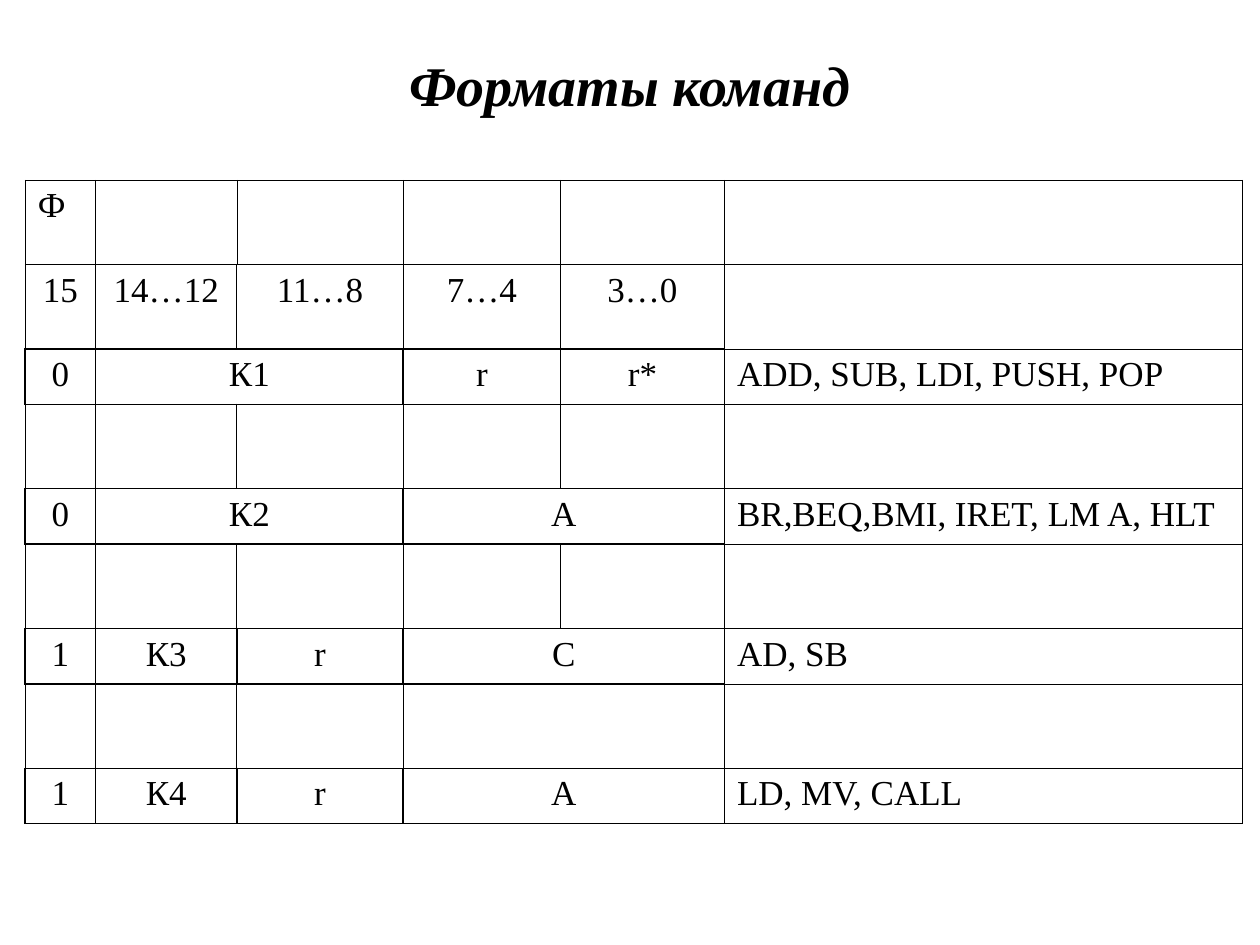
from dataclasses import dataclass

from pptx import Presentation
from pptx.dml.color import RGBColor
from pptx.enum.text import MSO_ANCHOR, PP_ALIGN
from pptx.oxml.ns import qn
from pptx.util import Inches, Pt
from lxml.etree import SubElement


@dataclass(frozen=True)
class Theme:
    font: str = "Times New Roman"
    ink: str = "000000"
    title_size: int = 32
    body_size: int = 20
    hairline: float = 0.34
    thin: float = 0.45
    regular: float = 0.96
    hanging: float = 0.38


MERGED = None  # the cell continues the one on its left
COLUMN_WIDTHS = [0.56, 1.12, 1.32, 1.25, 1.3, 4.11]
TALL_ROW, FIELD_ROW = 0.67, 0.44
FORMAT_ROWS = [
    ["Ф", "", "", "", "", ""],
    ["15", "14…12", "11…8", "7…4", "3…0", ""],
    ["0", "К1", MERGED, "r", "r*", "ADD, SUB, LDI, PUSH, POP"],
    ["", "", "", "", "", ""],
    ["0", "К2", MERGED, "A", MERGED, "BR,BEQ,BMI, IRET, LM A, HLT"],
    ["", "", "", "", "", ""],
    ["1", "К3", "r", "C", MERGED, "AD, SB"],
    ["", "", "", "", MERGED, ""],
    ["1", "К4", "r", "A", MERGED, "LD, MV, CALL"],
]


def is_field_row(row):
    return row >= 2 and row % 2 == 0


def write_text(text_frame, text, *, theme, size, align, bold=False,
               italic=False, hanging=0):
    paragraph = text_frame.paragraphs[0]
    if hanging:
        properties = paragraph._p.get_or_add_pPr()
        properties.set("marL", str(Inches(hanging)))
        properties.set("indent", str(-Inches(hanging)))
    paragraph.alignment = align
    run = paragraph.add_run()
    run.text = text
    run.font.name = theme.font
    run.font.size = Pt(size)
    run.font.bold = bold
    run.font.italic = italic
    run.font.color.rgb = RGBColor.from_string(theme.ink)


class SlideBuilder:
    def __init__(self, slide, theme):
        self.slide = slide
        self.theme = theme

    def add_title(self, text, left, top, width, height):
        shape = self.slide.shapes.add_textbox(
            Inches(left), Inches(top), Inches(width), Inches(height))
        text_frame = shape.text_frame
        text_frame.word_wrap = True
        text_frame.vertical_anchor = MSO_ANCHOR.MIDDLE
        write_text(text_frame, text, theme=self.theme,
                   size=self.theme.title_size, align=PP_ALIGN.CENTER,
                   bold=True, italic=True)

    def border_widths(self, row, column):
        """Widths of the left, right, top and bottom borders."""
        hairline, thin, regular = (
            self.theme.hairline, self.theme.thin, self.theme.regular)
        if column == len(COLUMN_WIDTHS) - 1:
            left = regular if is_field_row(row) else thin if row else hairline
            return left, hairline, hairline, hairline
        if row == 0:
            return hairline, hairline, hairline, thin
        if row == 1:
            return thin, thin, thin, regular
        side = regular if is_field_row(row) else thin
        return side, side, regular, regular

    def draw_borders(self, cell, widths):
        properties = cell._tc.get_or_add_tcPr()
        for tag, width in zip(("a:lnL", "a:lnR", "a:lnT", "a:lnB"), widths):
            line = SubElement(properties, qn(tag), w=str(Pt(width)))
            fill = SubElement(line, qn("a:solidFill"))
            SubElement(fill, qn("a:srgbClr"), val=self.theme.ink)

    def add_table(self, rows, left, top):
        heights = [FIELD_ROW if is_field_row(row) else TALL_ROW
                   for row in range(len(rows))]
        table = self.slide.shapes.add_table(
            len(rows), len(COLUMN_WIDTHS), Inches(left), Inches(top),
            Inches(sum(COLUMN_WIDTHS)), Inches(sum(heights))).table
        table.first_row = table.horz_banding = False
        for column, width in zip(table.columns, COLUMN_WIDTHS):
            column.width = Inches(width)
        for row, height in zip(table.rows, heights):
            row.height = Inches(height)

        for row, texts in enumerate(rows):
            for column, text in enumerate(texts):
                cell = table.cell(row, column)
                self.draw_borders(cell, self.border_widths(row, column))
                cell.fill.background()
                if text is MERGED:
                    table.cell(row, column - 1).merge(cell)
                elif text:
                    self.fill_cell(cell, text, row, column)

    def fill_cell(self, cell, text, row, column):
        if row == 0:
            align = PP_ALIGN.JUSTIFY
        elif column == len(COLUMN_WIDTHS) - 1:
            align = PP_ALIGN.LEFT
        else:
            align = PP_ALIGN.CENTER
        write_text(cell.text_frame, text, theme=self.theme,
                   size=self.theme.body_size, align=align,
                   hanging=self.theme.hanging)


def main():
    presentation = Presentation()
    presentation.slide_width = Inches(10)
    presentation.slide_height = Inches(7.5)
    slide = presentation.slides.add_slide(presentation.slide_layouts[6])
    builder = SlideBuilder(slide, Theme())

    # Heading
    builder.add_title("Форматы команд", 0.5, 0.3, 9, 0.73)

    # Instruction formats: bit fields and the commands that use them
    builder.add_table(FORMAT_ROWS, 0.2, 1.43)

    presentation.save("out.pptx")


if __name__ == "__main__":
    main()
